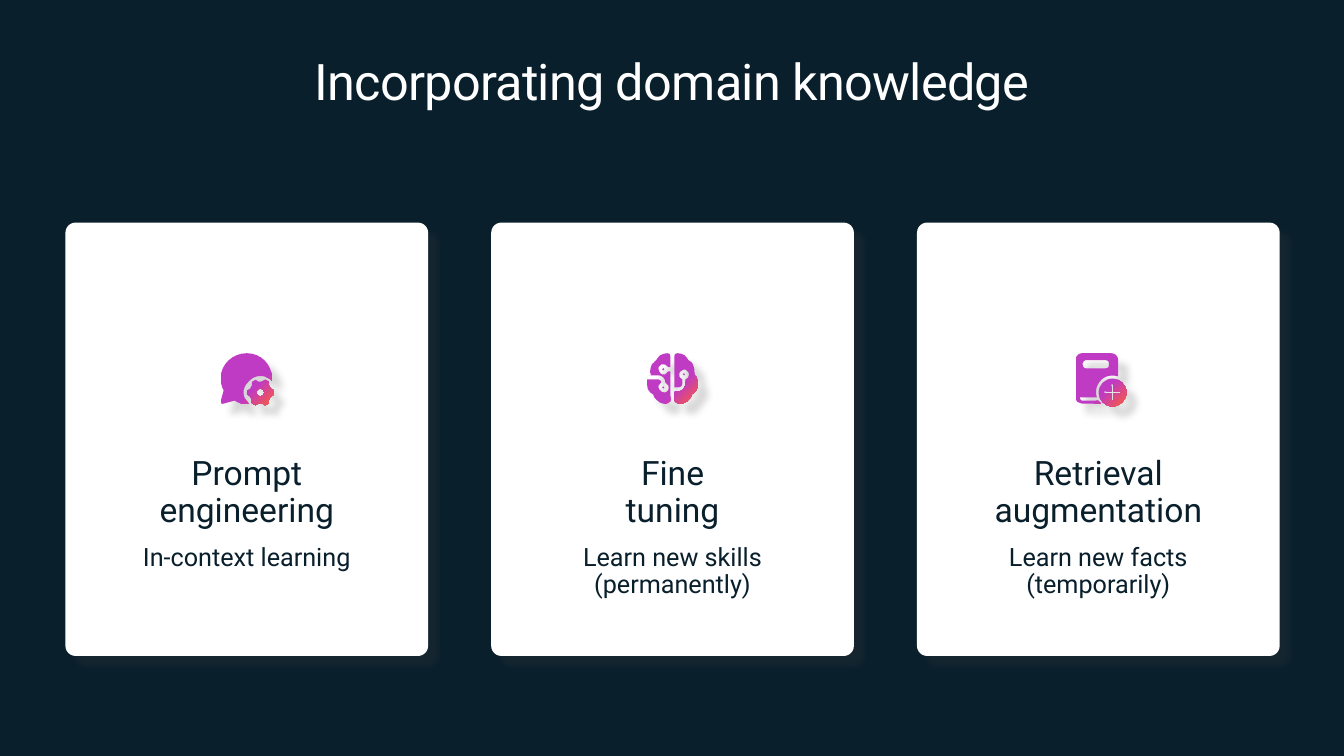
from copy import deepcopy
from math import cos, radians, sin

from lxml import etree
from pptx import Presentation
from pptx.dml.color import RGBColor
from pptx.enum.shapes import MSO_SHAPE
from pptx.enum.text import MSO_ANCHOR, MSO_AUTO_SIZE, PP_ALIGN
from pptx.oxml.ns import qn
from pptx.util import Cm, Pt

ROUNDED = MSO_SHAPE.ROUNDED_RECTANGLE
CENTER = PP_ALIGN.CENTER
MIDDLE, TOP = MSO_ANCHOR.MIDDLE, MSO_ANCHOR.TOP
GROW = MSO_AUTO_SIZE.SHAPE_TO_FIT_TEXT

FONT = "Roboto"
COLORS = {
    "navy": "091F2C",
    "white": "FFFFFF",
    "shadow": "454142",
    "coral": "FF5C39",
    "violet": "C03BC4",
}

CARD_LEFT, CARD_TOP, CARD_STEP = 1.65, 5.61, 10.73
CARD_WIDTH, CARD_HEIGHT = 9.14, 10.92
ICON_TOP = 8.9
ICON_UNIT = 0.0254

BUBBLE = (
    "M 26 0 C 40 0 51 11 51 25 C 51 26 51 26 51 27 C 44 21 34 21 28 28 "
    "C 21 34 21 44 28 50 C 23 51 18 50 14 47 L 3 50 C 2 51 1 50 0 49 "
    "C 0 48 0 48 0 48 L 3 37 C 1 33 0 29 0 25 C 0 11 12 0 26 0"
)
BOOK_COVER = (
    "M 6 0 C 3 0 0 3 0 6 L 0 44 C 0 48 3 50 6 50 L 25 50 C 24 49 23 48 22 47 "
    "L 6 47 C 5 47 4 45 4 44 L 21 44 C 18 35 23 26 31 23 C 35 22 38 22 42 23 "
    "L 42 6 C 42 3 39 0 35 0"
)
BOOK_LABEL = (
    "M 10 7 L 30 7 C 32 7 33 8 33 10 L 33 12 C 33 14 32 15 30 15 L 10 15 "
    "C 9 15 7 14 7 12 L 7 10 C 7 8 9 7 10 7"
)
PLUS = (
    "M 37.5 40 L 37.5 47 L 35.5 47 L 35.5 40 L 28.5 40 L 28.5 38 L 35.5 38 "
    "L 35.5 31 L 37.5 31 L 37.5 38 L 44.5 38 L 44.5 40"
)
BRAIN_LEFT = (
    "M 20 0 C 22 0 23 1 23 3 L 23 14 L 21 14 C 20 12 17 10 14 11 "
    "C 12 12 10 15 12 18 C 13 21 16 22 18 21 C 19 20 20 19 21 18 L 23 18 "
    "L 23 46 C 23 47 23 49 21 49 C 20 50 19 50 17 50 C 13 50 11 48 9 46 "
    "C 7 45 7 43 6 41 C 5 40 4 40 3 39 C 1 37 0 35 0 31 C 0 29 0 28 0 26 "
    "L 11 26 C 13 26 14 28 14 29 C 12 30 10 33 12 36 C 13 38 16 40 18 39 "
    "C 21 38 22 35 21 32 C 20 31 19 30 18 29 C 18 25 15 22 11 22 L 2 22 "
    "C 3 22 3 22 4 22 C 3 21 3 20 3 19 C 3 17 3 15 4 13 C 4 12 5 10 7 9 "
    "C 7 8 8 8 9 7 C 10 5 11 4 13 2 C 15 1 18 0 20 0"
)
BRAIN_RIGHT = (
    "M 27 38 L 31 38 C 35 38 38 34 38 30 L 38 26 C 41 25 42 22 41 19 "
    "C 40 17 37 15 35 17 C 32 18 31 21 32 23 C 32 24 33 25 35 26 L 35 30 "
    "C 35 32 33 34 31 34 L 27 34 L 27 3 C 27 1 28 0 30 0 C 33 0 35 1 37 2 "
    "C 39 4 40 5 41 7 C 42 8 43 8 44 9 C 45 10 46 12 46 13 C 47 15 47 17 47 19 "
    "C 47 20 47 21 47 22 C 48 22 48 23 49 24 C 50 26 50 28 50 31 "
    "C 50 35 49 37 47 39 C 46 40 45 40 44 41 C 44 43 43 45 41 46 "
    "C 40 48 37 50 33 50 C 32 50 30 50 29 49 C 28 49 27 47 27 46"
)


def circle(x, y, radius):
    k = 0.55 * radius
    left, right, top, bottom = x - radius, x + radius, y - radius, y + radius
    return (
        f"M {right} {y} C {right} {y + k} {x + k} {bottom} {x} {bottom} "
        f"C {x - k} {bottom} {left} {y + k} {left} {y} "
        f"C {left} {y - k} {x - k} {top} {x} {top} "
        f"C {x + k} {top} {right} {y - k} {right} {y}"
    )


def gear(x, y):
    corners = ((11, -20), (13.5, -9), (13.5, 9), (11, 20))
    points = [
        f"{x + radius * cos(radians(tooth + offset))} {y + radius * sin(radians(tooth + offset))}"
        for tooth in range(0, 360, 60)
        for radius, offset in corners
    ]
    return "M " + " L ".join(points)


def read_outline(commands):
    """Return all points, and the index of each curve's first control point."""
    points, curves = [], []
    tokens = iter(commands.split())
    for command in tokens:
        if command == "C":
            curves.append(len(points))
        for _ in range(3 if command == "C" else 1):
            points.append((float(next(tokens)), float(next(tokens))))
    return points, curves


def bend(segments):
    """Join three straight segments into one cubic curve."""
    curve = etree.Element(qn("a:cubicBezTo"))
    segments[0].addprevious(curve)
    for segment in segments:
        curve.append(segment[0])
        segment.getparent().remove(segment)


def add_color(parent, name):
    return etree.SubElement(parent, qn("a:srgbClr"), val=COLORS[name])


def add_shadow(shape):
    effects = etree.SubElement(shape._element.spPr, qn("a:effectLst"))
    shadow = etree.SubElement(
        effects, qn("a:outerShdw"), blurRad=str(Pt(5)), dist=str(Pt(10)),
        dir=str(45 * 60000), algn="tl", rotWithShape="0",
    )
    etree.SubElement(add_color(shadow, "shadow"), qn("a:alpha"), val="20000")


def add_radial_fill(shape):
    """Fill with a gradient that spreads from the lower right corner."""
    gradient = etree.SubElement(shape._element.spPr, qn("a:gradFill"), rotWithShape="1")
    stops = etree.SubElement(gradient, qn("a:gsLst"))
    for position, color in ((0, "coral"), (35, "violet")):
        add_color(etree.SubElement(stops, qn("a:gs"), pos=str(position * 1000)), color)
    path = etree.SubElement(gradient, qn("a:path"), path="circle")
    etree.SubElement(path, qn("a:fillToRect"), l="100000", t="100000")


def add_card(slide, left):
    shape = slide.shapes.add_shape(
        ROUNDED, Cm(left), Cm(CARD_TOP), Cm(CARD_WIDTH), Cm(CARD_HEIGHT))
    shape.adjustments[0] = 0.028
    shape.fill.solid()
    shape.fill.fore_color.rgb = RGBColor.from_string(COLORS["white"])
    shape.line.fill.background()
    add_shadow(shape)


def add_icon(slide, left, contours):
    outlines = [read_outline(contour) for contour in contours]
    builder = None
    for points, _ in outlines:
        placed = [(Cm(left + x * ICON_UNIT), Cm(ICON_TOP + y * ICON_UNIT)) for x, y in points]
        if builder is None:
            builder = slide.shapes.build_freeform(*placed[0])
        else:
            builder.move_to(*placed[0])
        builder.add_line_segments(placed[1:], close=True)
    shape = builder.convert_to_shape()
    segments = list(next(shape._element.iter(qn("a:path"))))
    start = 0
    for points, curves in outlines:
        for curve in curves:
            bend(segments[start + curve:start + curve + 3])
        start += len(points) + 1
    add_radial_fill(shape)
    shape.line.fill.background()
    add_shadow(shape)


def format_text(text_frame, size, color, anchor, line_spacing):
    text_frame.margin_left = text_frame.margin_right = 0
    text_frame.margin_top = text_frame.margin_bottom = 0
    text_frame.word_wrap = True
    text_frame.vertical_anchor = anchor
    for paragraph in text_frame.paragraphs:
        paragraph.alignment = CENTER
        paragraph.line_spacing = line_spacing
        for run in paragraph.runs:
            run.font.name = FONT
            run.font.size = Pt(size)
            run.font.color.rgb = RGBColor.from_string(COLORS[color])
        for line_break in paragraph._p.findall(qn("a:br")):
            line_break.append(deepcopy(paragraph.runs[0].font._element))


def add_title(slide, text):
    title = slide.shapes.title
    title.left, title.top, title.width, title.height = Cm(1.63), Cm(1.25), Cm(30.6), Cm(1.55)
    title.text_frame.text = text
    format_text(title.text_frame, 36, "white", MIDDLE, 1.0)
    title.text_frame.paragraphs[0].runs[0].font._element.set("spc", "-50")


def add_card_text(slide, left, top, height, text, size):
    box = slide.shapes.add_textbox(Cm(left), Cm(top), Cm(CARD_WIDTH), Cm(height))
    box.text_frame.text = text
    format_text(box.text_frame, size, "navy", TOP, 0.9)
    box.text_frame.auto_size = GROW


def main():
    presentation = Presentation()
    presentation.slide_width, presentation.slide_height = Cm(33.87), Cm(19.05)
    slide = presentation.slides.add_slide(presentation.slide_layouts[5])
    slide.background.fill.solid()
    slide.background.fill.fore_color.rgb = RGBColor.from_string(COLORS["navy"])
    add_title(slide, "Incorporating domain knowledge")

    chat = [BUBBLE, gear(39.5, 39), circle(39.5, 39, 4)]
    dots = [circle(x, y, 1.1) for x, y in ((16, 16), (16, 34), (36.5, 21))]
    brain = [BRAIN_LEFT, BRAIN_RIGHT] + dots
    book = [BOOK_COVER, BOOK_LABEL, circle(36.5, 39, 13.75), PLUS]
    cards = (
        ("Prompt\vengineering", "In-context learning", 0.69, chat, 5.56),
        ("Fine\vtuning", "Learn new skills\n(permanently)", 1.4, brain, 16.31),
        ("Retrieval\vaugmentation", "Learn new facts\n(temporarily)", 1.4, book, 27.11),
    )
    for index, (heading, detail, detail_height, icon, icon_left) in enumerate(cards):
        left = CARD_LEFT + index * CARD_STEP
        add_card(slide, left)
        add_card_text(slide, left, 11.51, 1.85, heading, 24)
        add_card_text(slide, left, 13.72, detail_height, detail, 18)
        add_icon(slide, icon_left, icon)
    presentation.save("out.pptx")


if __name__ == "__main__":
    main()
